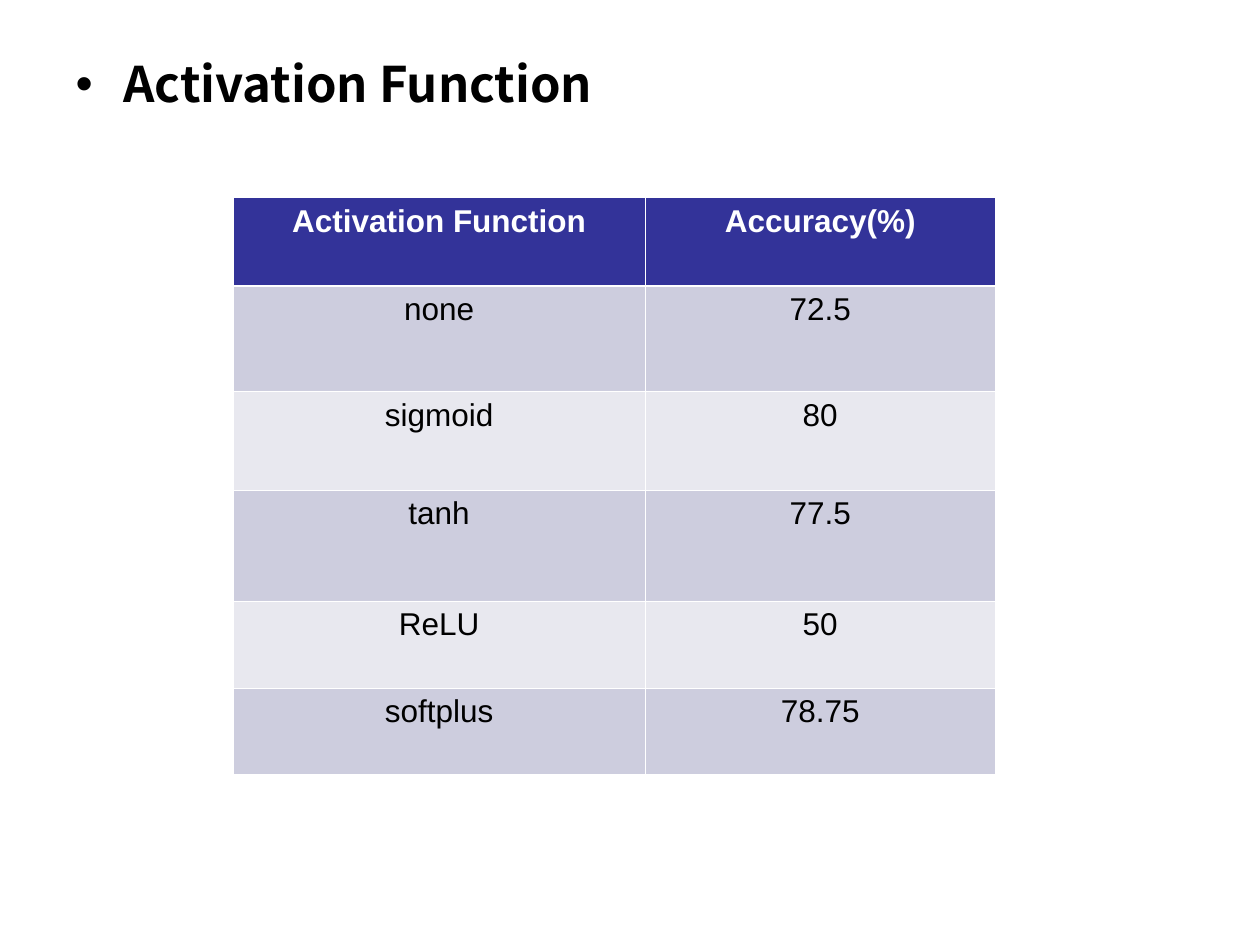
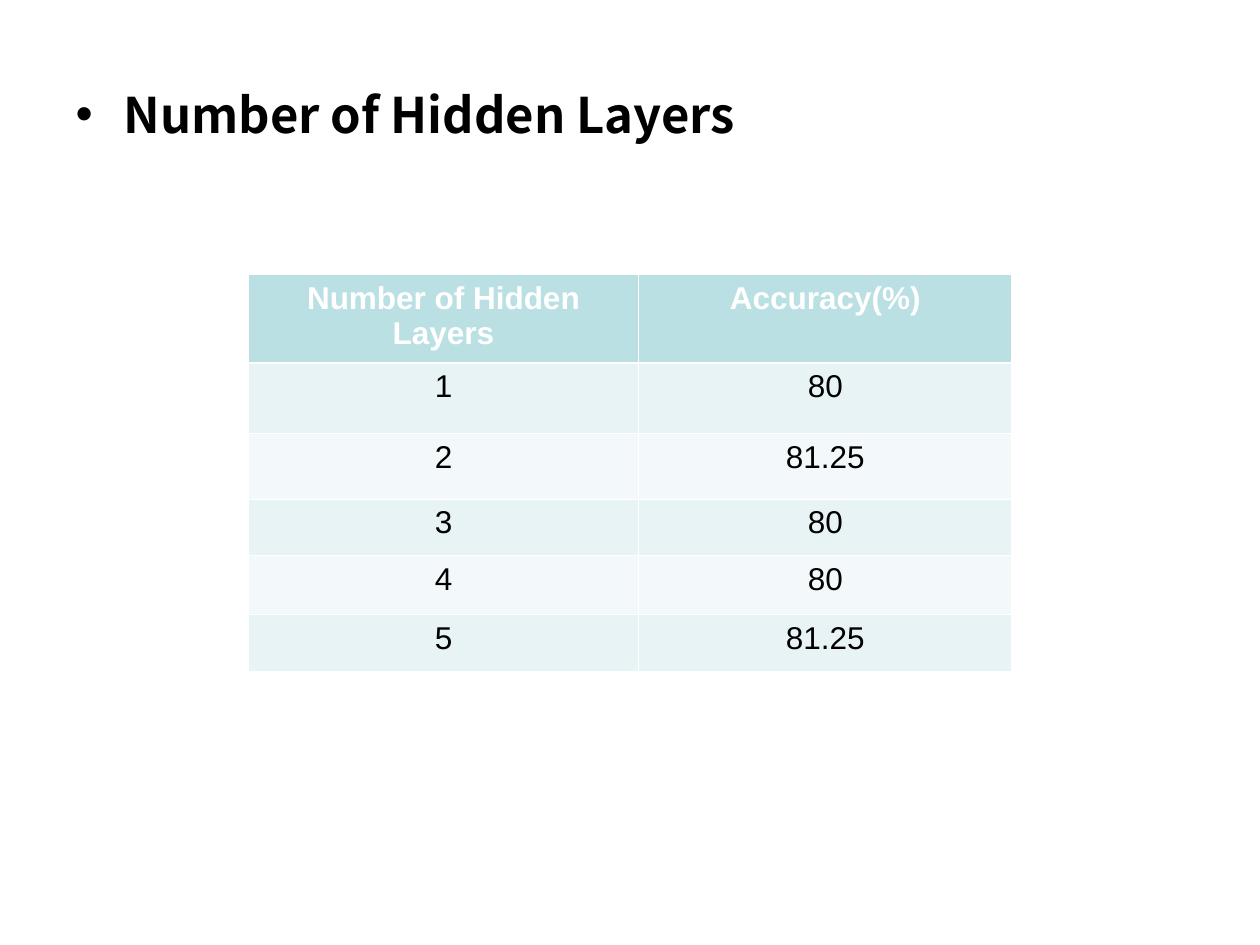
from dataclasses import dataclass

from lxml import etree
from pptx import Presentation
from pptx.dml.color import RGBColor
from pptx.enum.text import MSO_ANCHOR, MSO_AUTO_SIZE, PP_ALIGN
from pptx.oxml.ns import qn
from pptx.util import Pt

EMU_PER_PX = 9144  # 100 px to the inch
SLIDE_WIDTH, SLIDE_HEIGHT = 1000, 750
TITLE_ONLY = 5
LEFT, CENTER = PP_ALIGN.LEFT, PP_ALIGN.CENTER
MIDDLE = MSO_ANCHOR.MIDDLE
NO_AUTOFIT = MSO_AUTO_SIZE.NONE

TITLE_FONT, TABLE_FONT = "Noto Sans CJK SC", "Arial"
TITLE_SIZE, TABLE_SIZE = 28, 18
TITLE_LEFT, TITLE_WIDTH, TITLE_INDENT = 50, 900, 38
THIN_BORDER, HEADER_BORDER = 0.45, 1.47
COLORS = {
    "text": "000000",
    "white": "FFFFFF",
    "indigo": "333399",
    "indigo band": "CDCDDE",
    "indigo pale": "E8E8EF",
    "teal": "BBE0E3",
    "teal band": "E7F3F4",
    "teal pale": "F3F9FA",
}


@dataclass(frozen=True)
class ResultSlide:
    title: str
    title_top: int
    title_height: int
    table_left: int
    table_top: int
    column_widths: list[int]
    row_heights: list[int]
    theme: str
    rows: list[tuple[str, str]]


RESULT_SLIDES = [
    ResultSlide(
        title="Activation Function", title_top=30, title_height=72,
        table_left=185, table_top=157,
        column_widths=[327, 278], row_heights=[70, 84, 78, 88, 69, 69],
        theme="indigo",
        rows=[
            ("Activation Function", "Accuracy(%)"),
            ("none", "72.5"),
            ("sigmoid", "80"),
            ("tanh", "77.5"),
            ("ReLU", "50"),
            ("softplus", "78.75"),
        ],
    ),
    ResultSlide(
        title="Number of Hidden Layers", title_top=28, title_height=125,
        table_left=197, table_top=218,
        column_widths=[310, 296], row_heights=[70, 56, 52, 45, 47, 45],
        theme="teal",
        rows=[
            ("Number of Hidden\nLayers", "Accuracy(%)"),
            ("1", "80"),
            ("2", "81.25"),
            ("3", "80"),
            ("4", "80"),
            ("5", "81.25"),
        ],
    ),
]


def px(length: int) -> int:
    return length * EMU_PER_PX


def rgb(name: str) -> RGBColor:
    return RGBColor.from_string(COLORS[name])


def format_paragraph(paragraph, alignment, font_name: str, size: int, color: str, bold: bool) -> None:
    paragraph.alignment = alignment
    font = paragraph.font
    font.name, font.size, font.bold = font_name, Pt(size), bold
    font.color.rgb = rgb(color)


def add_bullet(paragraph) -> None:
    properties = paragraph._p.get_or_add_pPr()
    properties.set("marL", str(px(TITLE_INDENT)))
    properties.set("indent", str(-px(TITLE_INDENT)))
    bullet_color = etree.SubElement(properties, qn("a:buClr"))
    etree.SubElement(bullet_color, qn("a:srgbClr"), val=COLORS["text"])
    etree.SubElement(properties, qn("a:buFont"), typeface=TABLE_FONT)
    etree.SubElement(properties, qn("a:buChar"), char="•")


def set_title(slide, content: ResultSlide) -> None:
    title = slide.shapes.title
    title.left, title.top = px(TITLE_LEFT), px(content.title_top)
    title.width, title.height = px(TITLE_WIDTH), px(content.title_height)
    frame = title.text_frame
    frame.text = content.title
    frame.word_wrap = True
    frame.auto_size = NO_AUTOFIT
    frame.vertical_anchor = MIDDLE
    paragraph = frame.paragraphs[0]
    add_bullet(paragraph)
    format_paragraph(paragraph, LEFT, TITLE_FONT, TITLE_SIZE, "text", True)


def set_borders(cell, row_index: int) -> None:
    """Draw thin white borders, thicker along the line under the header."""
    top = HEADER_BORDER if row_index == 1 else THIN_BORDER
    bottom = HEADER_BORDER if row_index == 0 else THIN_BORDER
    widths = {"L": THIN_BORDER, "R": THIN_BORDER, "T": top, "B": bottom}
    properties = cell._tc.get_or_add_tcPr()
    for side, width in widths.items():
        line = etree.SubElement(properties, qn(f"a:ln{side}"), w=str(Pt(width)))
        fill = etree.SubElement(line, qn("a:solidFill"))
        etree.SubElement(fill, qn("a:srgbClr"), val=COLORS["white"])


def fill_cell(cell, text: str, row_index: int, theme: str) -> None:
    is_header = row_index == 0
    band = f"{theme} band" if row_index % 2 else f"{theme} pale"
    set_borders(cell, row_index)
    cell.fill.solid()
    cell.fill.fore_color.rgb = rgb(theme if is_header else band)
    cell.text = text
    for paragraph in cell.text_frame.paragraphs:
        format_paragraph(paragraph, CENTER, TABLE_FONT, TABLE_SIZE,
                         "white" if is_header else "text", is_header)


def add_result_table(slide, content: ResultSlide) -> None:
    table = slide.shapes.add_table(
        len(content.rows), len(content.column_widths),
        px(content.table_left), px(content.table_top),
        px(sum(content.column_widths)), px(sum(content.row_heights)),
    ).table
    for column, width in zip(table.columns, content.column_widths):
        column.width = px(width)
    for row_index, (height, texts) in enumerate(zip(content.row_heights, content.rows)):
        table.rows[row_index].height = px(height)
        for column_index, text in enumerate(texts):
            fill_cell(table.cell(row_index, column_index), text, row_index, content.theme)


def main() -> None:
    presentation = Presentation()
    presentation.slide_width = px(SLIDE_WIDTH)
    presentation.slide_height = px(SLIDE_HEIGHT)
    for content in RESULT_SLIDES:
        slide = presentation.slides.add_slide(presentation.slide_layouts[TITLE_ONLY])
        set_title(slide, content)
        add_result_table(slide, content)
    presentation.save("out.pptx")


if __name__ == "__main__":
    main()
